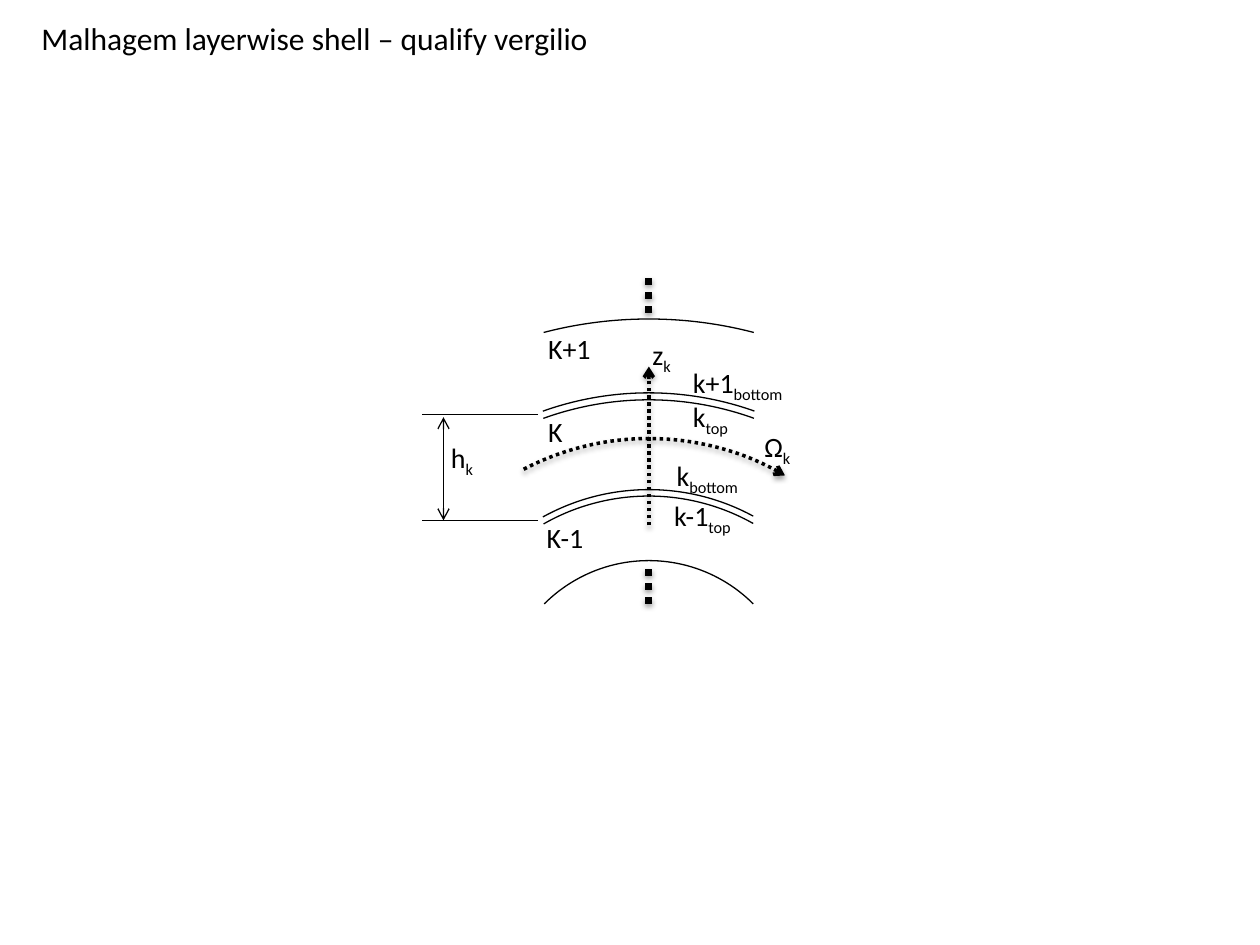
from lxml import etree
from pptx import Presentation
from pptx.dml.color import RGBColor
from pptx.enum.dml import MSO_LINE
from pptx.enum.shapes import MSO_CONNECTOR, MSO_SHAPE
from pptx.enum.text import MSO_ANCHOR, MSO_AUTO_SIZE, PP_ALIGN
from pptx.oxml.ns import qn
from pptx.util import Cm, Pt

ARC = MSO_SHAPE.ARC
STRAIGHT = MSO_CONNECTOR.STRAIGHT
DOTTED = MSO_LINE.ROUND_DOT
LEFT = PP_ALIGN.LEFT
TOP = MSO_ANCHOR.TOP
FIT_SHAPE = MSO_AUTO_SIZE.SHAPE_TO_FIT_TEXT

TITLE_ONLY = 5
COLORS = {"ink": "000000"}
AXIS_X = 13.08
SHELL_Y = 14.28
THIN, AXIS, ELLIPSIS = 0.75, 2, 4


class ShellDiagram:
    font = "Calibri"
    ink = RGBColor.from_string(COLORS["ink"])

    def __init__(self, slide):
        self.slide = slide
        self.group = None

    def format_runs(self, paragraph, size):
        for run in paragraph.runs:
            run.font.name = self.font
            run.font.size = Pt(size)
            run.font.color.rgb = self.ink

    def title(self, text, left, top, width, height):
        shape = self.slide.shapes.title
        shape.left, shape.top = Cm(left), Cm(top)
        shape.width, shape.height = Cm(width), Cm(height)
        frame = shape.text_frame
        frame.text = text
        frame.word_wrap = False
        frame.auto_size = FIT_SHAPE
        frame.vertical_anchor = TOP
        frame.paragraphs[0].alignment = LEFT
        self.format_runs(frame.paragraphs[0], 18)

    def start_group(self):
        self.group = self.slide.shapes.add_group_shape()

    def stroke(self, shape, weight, arrows):
        shape.line.color.rgb = self.ink
        shape.line.width = Pt(weight)
        thick = weight > THIN
        if thick:
            shape.line.dash_style = DOTTED
        properties = shape._element.spPr
        outline = properties.find(qn("a:ln"))
        for end in arrows:
            etree.SubElement(outline, qn(f"a:{end}"), type="arrow")
        effects = etree.SubElement(properties, qn("a:effectLst"))
        if thick:
            shadow = etree.SubElement(
                effects, qn("a:outerShdw"), blurRad=str(Pt(3.1)),
                dist=str(Pt(1.6)), dir="5400000", rotWithShape="0")
            color = etree.SubElement(shadow, qn("a:srgbClr"), val=COLORS["ink"])
            etree.SubElement(color, qn("a:alpha"), val="38000")

    def arc(self, radius, angles=(), center_y=SHELL_Y, weight=THIN, arrows=()):
        shape = self.group.shapes.add_shape(
            ARC, Cm(AXIS_X - radius), Cm(center_y - radius),
            Cm(2 * radius), Cm(2 * radius))
        shape.rotation = 315
        for index, angle in enumerate(angles):
            shape.adjustments[index] = angle
        shape.fill.background()
        self.stroke(shape, weight, arrows)

    def line(self, start, end, weight=THIN, arrows=()):
        connector = self.group.shapes.add_connector(
            STRAIGHT, *(Cm(value) for value in start + end))
        self.stroke(connector, weight, arrows)

    def label(self, base, subscript, left, top, width):
        box = self.group.shapes.add_textbox(Cm(left), Cm(top), Cm(width), Cm(0.94))
        frame = box.text_frame
        frame.word_wrap = False
        frame.auto_size = FIT_SHAPE
        paragraph = frame.paragraphs[0]
        paragraph.text = base
        if subscript:
            run = paragraph.add_run()
            run.text = subscript
            run.font._element.set("baseline", "-25000")
        self.format_runs(paragraph, 16)


def main():
    presentation = Presentation()
    presentation.slide_width, presentation.slide_height = Cm(25.4), Cm(19.05)
    slide = presentation.slides.add_slide(presentation.slide_layouts[TITLE_ONLY])
    diagram = ShellDiagram(slide)
    diagram.title("Malhagem layerwise shell – qualify vergilio", 0.58, 0.25, 11.66, 1.02)
    diagram.start_group()

    for radius, angles in (
        (4.41, (171.62, 206.11)),
        (4.28, (171.18, 206.68)),
        (2.98, ()),
        (6.22, (177.01, 200.96)),
        (6.36, (177.23, 200.74)),
    ):
        diagram.arc(radius, angles)
    diagram.arc(8.39, (180.22, 197.77), center_y=14.82)
    diagram.arc(5.44, (172.44, 207.19), weight=AXIS, arrows=["tailEnd"])

    diagram.line((AXIS_X, 10.59), (AXIS_X, 7.39), AXIS, ["tailEnd"])
    for y in (8.36, 10.49):
        diagram.line((10.85, y), (8.51, y))
    diagram.line((8.94, 8.41), (8.94, 10.49), arrows=["headEnd", "tailEnd"])
    for bottom in (12.17, 6.3):
        diagram.line((AXIS_X, bottom), (AXIS_X, bottom - 0.71), ELLIPSIS)

    for label in (
        ("Ω", "k", 15.16, 8.53, 1.07),
        ("z", "k", 12.9, 6.68, 0.91),
        ("K", "", 10.8, 8.23, 0.81),
        ("K+1", "", 10.8, 6.55, 1.4),
        ("K-1", "", 10.77, 10.36, 1.27),
        ("k", "top", 13.72, 7.92, 1.3),
        ("k", "bottom", 13.39, 9.12, 1.93),
        ("k+1", "bottom", 13.72, 7.24, 2.54),
        ("k-1", "top", 13.34, 9.93, 1.75),
        ("h", "k", 8.84, 8.76, 0.99),
    ):
        diagram.label(*label)

    presentation.save("out.pptx")


if __name__ == "__main__":
    main()
